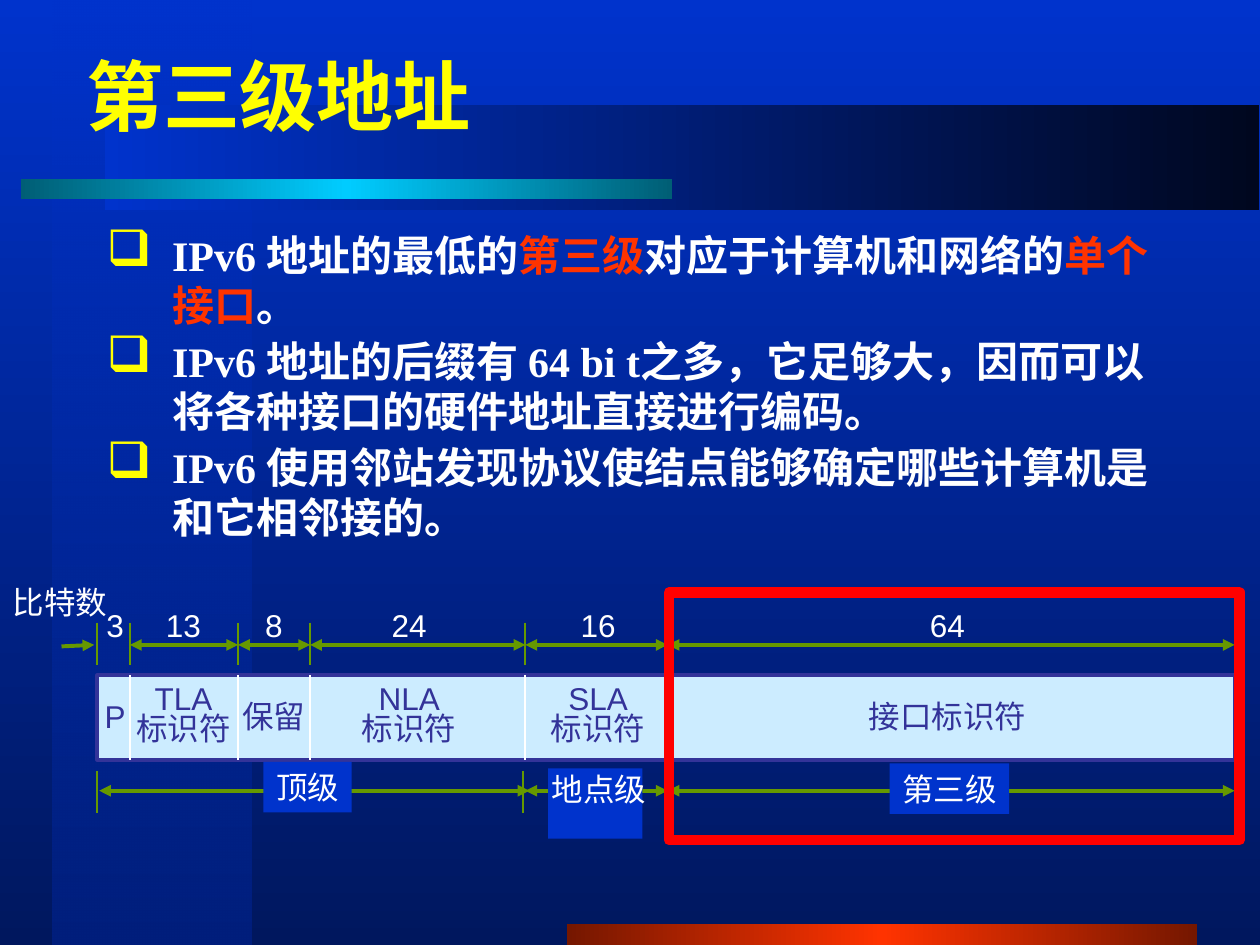
from lxml import etree
from pptx import Presentation
from pptx.dml.color import RGBColor
from pptx.enum import shapes, text
from pptx.oxml import ns
from pptx.util import Cm, Pt

COLORS = {
    "blue": "0033CC", "navy": "00175E", "column": "001F7D", "dark": "00071F",
    "cyan": "00CCFF", "teal": "005E75", "red": "FF3300", "maroon": "751700",
    "title": "FFFF01", "bullet": "FFFF00", "white": "FFFFFF", "pale": "CCECFF",
    "indigo": "333399", "green": "669900", "frame": "FF0000",
}
RGB = {name: RGBColor.from_string(value) for name, value in COLORS.items()}


def gradient(fill, element, stops, angle):
    """Fill with evenly spaced (colour, opacity %) stops; angle as in python-pptx."""
    fill.gradient()
    fill.gradient_angle = angle
    stop_list = element.find(".//" + ns.qn("a:gsLst"))
    for old in list(stop_list):
        stop_list.remove(old)
    for i, (color, opacity) in enumerate(stops):
        gs = etree.SubElement(stop_list, ns.qn("a:gs"), pos=str(100000 * i // (len(stops) - 1)))
        clr = etree.SubElement(gs, ns.qn("a:srgbClr"), val=COLORS[color])
        if opacity < 100:
            etree.SubElement(clr, ns.qn("a:alpha"), val=str(opacity * 1000))


def label(x, y, w, h, lines, color, fill=None):
    """Add centred 18 pt text around the centre (x, y)."""
    sp = s.shapes.add_textbox(Cm(x - w / 2), Cm(y - h / 2), Cm(w), Cm(h))
    if fill:
        sp.fill.solid()
        sp.fill.fore_color.rgb = RGB[fill]
    tf = sp.text_frame
    tf.word_wrap = False
    tf.vertical_anchor = text.MSO_ANCHOR.MIDDLE
    for i, line in enumerate(lines):
        p = tf.add_paragraph() if i else tf.paragraphs[0]
        p.alignment = text.PP_ALIGN.CENTER
        if len(lines) > 1:
            p.line_spacing = 0.8
        r = p.add_run()
        r.text = line
        r.font.size = Pt(18)
        r.font.name = "Arial"
        r.font.color.rgb = RGB[color]


prs = Presentation()
prs.slide_width, prs.slide_height = Cm(25.4), Cm(19.05)
s = prs.slides.add_slide(prs.slide_layouts[5])
gradient(s.background.fill, s.element, [("blue", 100), ("navy", 100)], 270)

# Decorative bands
bands = [
    (1.06, 0, 4.02, 19.05, [("blue", 50), ("column", 100)], 270),
    (11.43, 18.63, 12.7, 0.42, [("maroon", 100), ("red", 100), ("maroon", 100)], 0),
    (2.12, 2.12, 23.27, 2.12, [("blue", 100), ("dark", 100)], 0),
    (0.42, 3.6, 13.13, 0.42, [("teal", 100), ("cyan", 100), ("teal", 100)], 0),
]
for x, y, w, h, stops, angle in bands:
    sp = s.shapes.add_shape(shapes.MSO_SHAPE.RECTANGLE, Cm(x), Cm(y), Cm(w), Cm(h))
    sp.shadow.inherit = False
    sp.line.fill.background()
    gradient(sp.fill, sp.element, stops, angle)

# Title, in front of the bands
title = s.shapes.title
s.shapes.element.append(title.element)
title.left, title.top, title.width, title.height = Cm(1.48), Cm(0.64), Cm(17.45), Cm(2.54)
tf = title.text_frame
tf.vertical_anchor = text.MSO_ANCHOR.MIDDLE
p = tf.paragraphs[0]
p.alignment = text.PP_ALIGN.LEFT
r = p.add_run()
r.text = "第三级地址"
r.font.size, r.font.bold, r.font.name = Pt(44), True, "Times New Roman"
r.font.color.rgb = RGB["title"]

# Bulleted text
points = [
    [("IPv6 地址的最低的", "white"), ("第三级", "red"), ("对应于计算机和网络的", "white"),
     ("单个接口", "red"), ("。", "white")],
    [("IPv6 地址的后缀有 64 bi t之多，它足够大，因而可以将各种接口的硬件地址直接进行编码。", "white")],
    [("IPv6 使用邻站发现协议使结点能够确定哪些计算机是和它相邻接的。", "white")],
]
tf = s.shapes.add_textbox(Cm(1.9), Cm(4.5), Cm(21.6), Cm(8.8)).text_frame
tf.word_wrap = True
for i, runs in enumerate(points):
    p = tf.add_paragraph() if i else tf.paragraphs[0]
    if i:
        p.space_before = Pt(3)
    pPr = p._p.get_or_add_pPr()
    pPr.set("marL", str(Cm(1.32)))
    pPr.set("indent", str(Cm(-1.32)))
    bullet_color = etree.SubElement(pPr, ns.qn("a:buClr"))
    etree.SubElement(bullet_color, ns.qn("a:srgbClr"), val=COLORS["bullet"])
    etree.SubElement(pPr, ns.qn("a:buSzPct"), val="120000")
    etree.SubElement(pPr, ns.qn("a:buChar"), char="❑")
    for words, color in runs:
        r = p.add_run()
        r.text = words
        r.font.size, r.font.bold, r.font.name = Pt(24), True, "Times New Roman"
        r.font.color.rgb = RGB[color]

# Address format: one bar divided into fields
edges = [1.96, 2.62, 4.8, 6.25, 10.59, 13.46, 24.89]
bar_top, bar_bottom = 13.61, 15.32
bar = s.shapes.add_shape(shapes.MSO_SHAPE.RECTANGLE, Cm(edges[0]), Cm(bar_top),
                         Cm(edges[-1] - edges[0]), Cm(bar_bottom - bar_top))
bar.shadow.inherit = False
bar.fill.solid()
bar.fill.fore_color.rgb = RGB["pale"]
bar.line.color.rgb = RGB["indigo"]
bar.line.width = Pt(2)

# Lines: x1, y1, x2, y2, colour, width, arrowheads
lines = [(x, bar_top, x, bar_bottom, "white", 1, ()) for x in edges[1:-1]]
lines += [(x, 12.55, x, 13.41, "green", 1, ()) for x in edges]
lines += [(x, 15.54, x, 16.38, "green", 1, ()) for x in (1.96, 10.54, 13.41, 24.89)]
both = ("headEnd", "tailEnd")
lines += [(x1, 13, x2, 13, "green", 2.25, both) for x1, x2 in zip(edges[1:], edges[2:])]
lines += [(x1, 15.94, x2, 15.94, "green", 2.25, both)
          for x1, x2 in ((2, 10.67), (10.59, 13.46), (13.46, 24.89))]
lines.append((1.24, 13.03, 1.9, 13, "green", 2.25, ("tailEnd",)))
for x1, y1, x2, y2, color, width, heads in lines:
    c = s.shapes.add_connector(shapes.MSO_CONNECTOR.STRAIGHT, Cm(x1), Cm(y1), Cm(x2), Cm(y2))
    c.line.color.rgb = RGB[color]
    c.line.width = Pt(width)
    for head in heads:
        etree.SubElement(c.line._get_or_add_ln(), ns.qn("a:" + head), type="triangle")
    etree.SubElement(c.element.spPr, ns.qn("a:effectLst"))

# Field names with their sizes in bits: centre, bits, name
fields = [
    (2.32, "3", ["P"]), (3.7, "13", ["TLA", "标识符"]), (5.52, "8", ["保留"]),
    (8.25, "24", ["NLA", "标识符"]), (12.06, "16", ["SLA", "标识符"]),
    (19.1, "64", ["接口标识符"]),
]
for x, bits, name in fields:
    label(x, 12.6, 1.3, 1.02, [bits], "white")
    label(x, 14.44, 3.68 if len(name[0]) > 3 else 2.41, 1.47, name, "indigo")
label(1.21, 12.14, 2.41, 1.02, ["比特数"], "white")

# Address levels
label(6.2, 15.87, 1.78, 1.02, ["顶级"], "white", "blue")
label(19.14, 15.9, 2.41, 1.02, ["第三级"], "white", "blue")
label(12, 16.2, 1.9, 1.42, [], "white", "blue")
label(12.08, 15.9, 2.41, 1.02, ["地点级"], "white")

# Frame around the third level
frame = s.shapes.add_shape(shapes.MSO_SHAPE.RECTANGLE, Cm(13.49), Cm(11.94), Cm(11.5), Cm(5))
frame.shadow.inherit = False
frame.fill.background()
frame.line.color.rgb = RGB["frame"]
frame.line.width = Pt(6)

prs.save("out.pptx")
